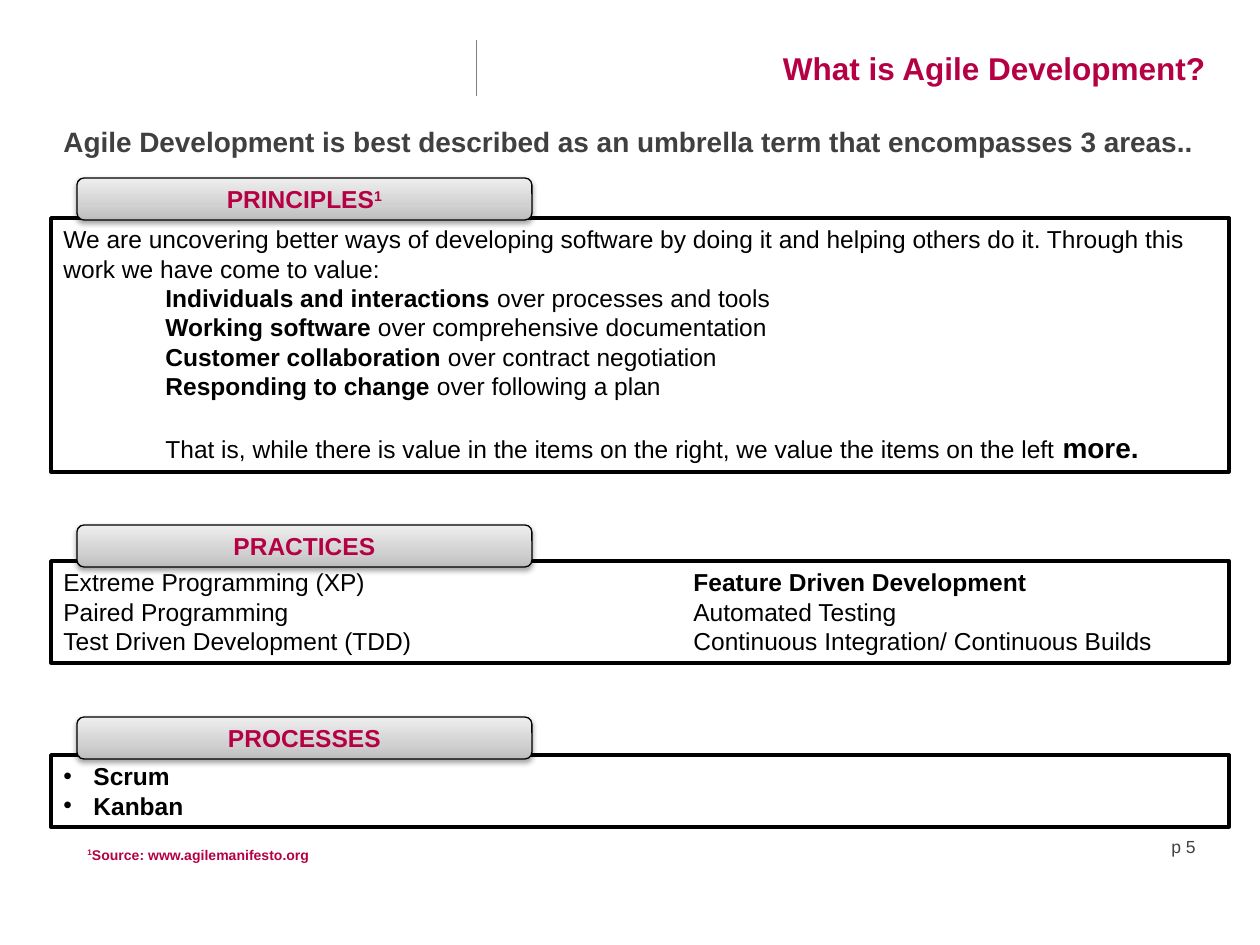
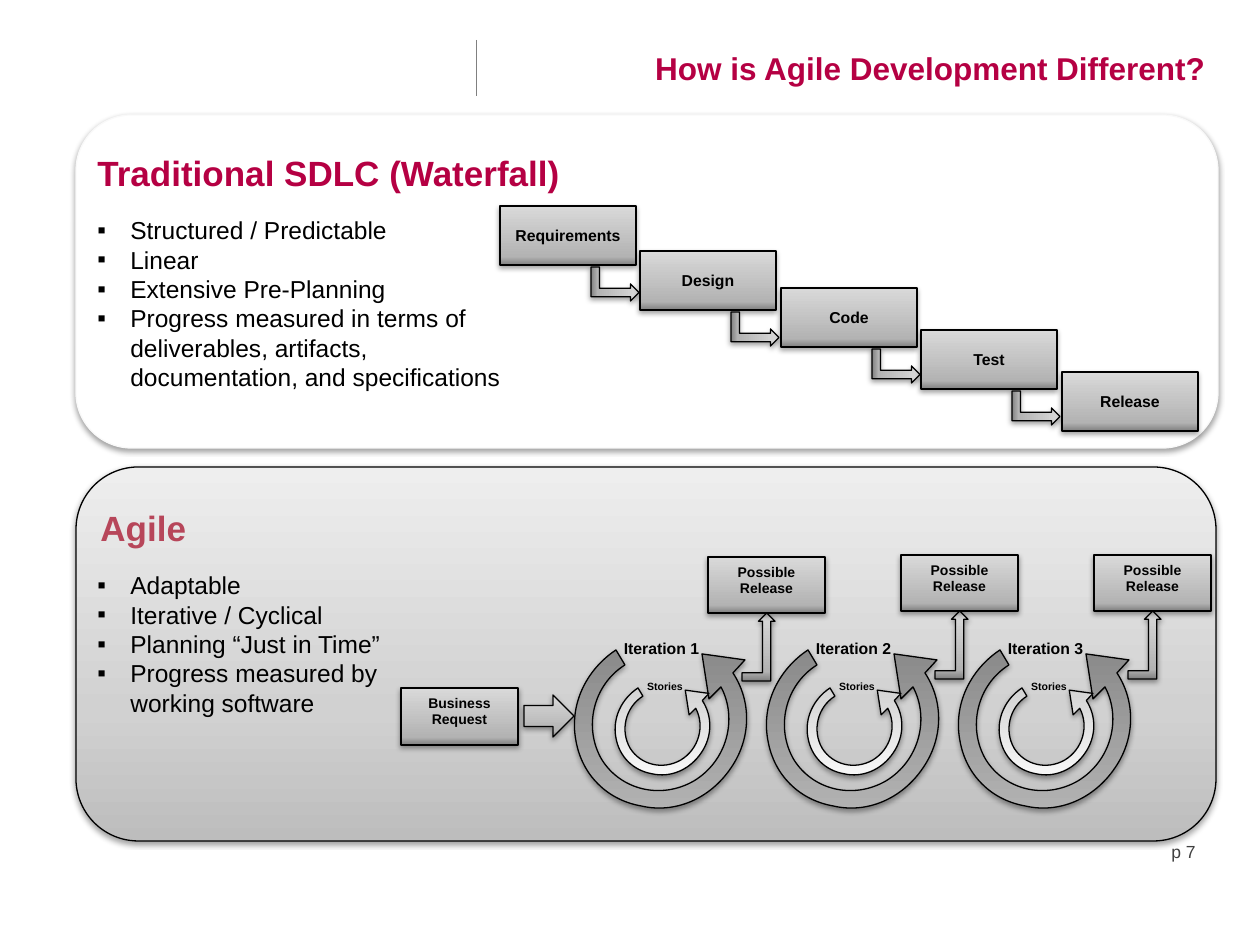
from dataclasses import dataclass

from lxml.etree import SubElement
from pptx import Presentation
from pptx.dml.color import RGBColor
from pptx.enum.dml import MSO_LINE
from pptx.enum.shapes import MSO_CONNECTOR, MSO_SHAPE
from pptx.enum.text import MSO_ANCHOR, PP_ALIGN
from pptx.oxml.ns import qn
from pptx.util import Emu, Pt

EMU_PER_PX = 914400 / 126


@dataclass(frozen=True)
class Theme:
    font: str = "Arial"
    accent: str = "B50043"
    agile: str = "B7465A"
    ink: str = "000000"
    muted: str = "404040"
    rule: str = "808080"
    paper: str = "FFFFFF"
    pale: str = "F9F9F9"
    # Gradients run from bottom to top
    silver: tuple = ((0, "BDBDBD"), (35, "D1D1D1"), (100, "EEEEEE"))
    steel: tuple = ((0, "808080"), (14, "B3B3B3"), (100, "D9D9D9"))
    outer_ring: tuple = ((0, "B3B3B3"), (100, "8A8A8A"))
    inner_ring: tuple = ((0, "F8F8F8"), (100, "D4D4D4"))
    title: int = 18
    heading: int = 20
    lead: int = 16
    body: int = 14
    page: int = 10
    step: int = 9
    small: int = 8
    tiny: int = 6


T = Theme()

# Circular arrow: each row is a cubic curve (three points) or one straight edge
RING = [
    [(-30, 20), (-47, 55), (-40, 91)], [(-34, 125), (-9, 150), (25, 156)],
    [(59, 164), (94, 149), (115, 118)], [(135, 89), (136, 52), (117, 23)],
    [(129, 10)], [(86, 4)], [(93, 49)], [(105, 37)],
    [(122, 69), (111, 111), (78, 131)], [(45, 150), (5, 140), (-14, 110)],
    [(-33, 78), (-23, 35), (9, 15)],
]


def px(n):
    return Emu(round(n * EMU_PER_PX))


# ---- Text ----
def write(tf, paras, size=T.body, color=T.ink, bold=False, align=PP_ALIGN.LEFT,
          anchor=MSO_ANCHOR.TOP, bullet=None, indent=0, tab=0, inset=None):
    """Each paragraph is a string or a list of (text, overrides) runs; \n breaks a line."""
    tf.word_wrap = True
    tf.vertical_anchor = anchor
    if inset is not None:
        tf.margin_left = tf.margin_right = px(inset)
    for i, para in enumerate(paras):
        p = tf.paragraphs[0] if i == 0 else tf.add_paragraph()
        p.alignment = align
        pPr = p._p.get_or_add_pPr()
        if bullet:
            pPr.set("marL", str(px(indent)))
            pPr.set("indent", str(-px(indent)))
            SubElement(pPr, qn("a:buFont"), typeface=T.font)
            SubElement(pPr, qn("a:buChar"), char=bullet)
        if tab:
            tabs = SubElement(pPr, qn("a:tabLst"))
            SubElement(tabs, qn("a:tab"), pos=str(px(tab)), algn="l")
        for text, over in [(para, {})] if isinstance(para, str) else para:
            if text.startswith("\n"):
                p.add_line_break()
            r = p.add_run()
            r.text = text.lstrip("\n")
            f = r.font
            f.name = T.font
            f.size = Pt(over.get("size", size))
            f.bold = over.get("bold", bold)
            f.color.rgb = RGBColor.from_string(color)
            if over.get("sup"):
                f._element.set("baseline", "30000")


def add_text(s, box, paras, **fmt):
    tb = s.shapes.add_textbox(*map(px, box))
    write(tb.text_frame, paras, **fmt)


# ---- Shapes ----
def style(sp, fill, line=T.ink, width=0.75, shadow=True):
    sp.fill.solid()
    if isinstance(fill, str):
        sp.fill.fore_color.rgb = RGBColor.from_string(fill)
    else:
        spPr = sp._element.spPr
        solid = spPr.find(qn("a:solidFill"))
        grad = spPr.makeelement(qn("a:gradFill"), {"rotWithShape": "1"})
        stops = SubElement(grad, qn("a:gsLst"))
        for pos, color in fill:
            gs = SubElement(stops, qn("a:gs"), pos=str(pos * 1000))
            SubElement(gs, qn("a:srgbClr"), val=color)
        SubElement(grad, qn("a:lin"), ang="16200000", scaled="0")
        spPr.replace(solid, grad)
    sp.line.color.rgb = RGBColor.from_string(line)
    sp.line.width = Pt(width)
    sp.shadow.inherit = False
    if shadow:
        effects = sp._element.spPr.find(qn("a:effectLst"))
        outer = SubElement(effects, qn("a:outerShdw"), blurRad="39370", dist="20320",
                           dir="5400000", rotWithShape="0")
        color = SubElement(outer, qn("a:srgbClr"), val=T.ink)
        SubElement(color, qn("a:alpha"), val="36000")


def add_box(s, kind, box, fill, paras=(), line=T.ink, width=0.75, shadow=True,
            rotation=0, **fmt):
    sp = s.shapes.add_shape(kind, *map(px, box))
    sp.rotation = rotation
    style(sp, fill, line, width, shadow)
    write(sp.text_frame, paras, **fmt)
    return sp


def steel_box(s, box, text, size=T.small, anchor=MSO_ANCHOR.TOP):
    add_box(s, MSO_SHAPE.RECTANGLE, box, T.steel, [text], size=size, bold=True,
            align=PP_ALIGN.CENTER, anchor=anchor)


def add_ring(s, x, y, scale, fill):
    fb = s.shapes.build_freeform(px(x), px(y))
    fb.add_line_segments([(px(x + a * scale), px(y + b * scale))
                          for row in RING for a, b in row])
    sp = fb.convert_to_shape()
    # Join the three edges of each curve into one cubic segment
    edges = iter(list(sp._element.iter(qn("a:lnTo"))))
    for row in RING:
        first = next(edges)
        if len(row) == 3:
            first.tag = qn("a:cubicBezTo")
            for _ in range(2):
                edge = next(edges)
                first.append(edge[0])
                edge.getparent().remove(edge)
    style(sp, fill)


# ---- Shared slide frame ----
def new_slide(prs, title, page, page_top):
    s = prs.slides.add_slide(prs.slide_layouts[5])
    rule = s.shapes.add_connector(MSO_CONNECTOR.STRAIGHT, px(476), px(40), px(476), px(96))
    rule.line.color.rgb = RGBColor.from_string(T.rule)
    rule.line.width = Pt(0.25)
    rule.line.dash_style = MSO_LINE.ROUND_DOT
    SubElement(rule._element.spPr, qn("a:effectLst"))
    head = s.shapes.title
    head.left, head.top, head.width, head.height = map(px, (480, 43, 738, 50))
    write(head.text_frame, [title], size=T.title, color=T.accent, bold=True,
          align=PP_ALIGN.RIGHT)
    add_text(s, (946, page_top, 262, 42), [f"p {page}"], size=T.page, color=T.muted,
             align=PP_ALIGN.RIGHT)
    return s


# ---- Slide: what agile is ----
def section(s, top, height, tab_top, label, paras, **fmt):
    body = add_box(s, MSO_SHAPE.RECTANGLE, (51, top, 1178, height), T.paper, paras, width=2,
                   shadow=False, **fmt)
    add_box(s, MSO_SHAPE.ROUNDED_RECTANGLE, (77, tab_top, 455, 42), T.silver, [label],
            color=T.accent, bold=True, align=PP_ALIGN.CENTER, anchor=MSO_ANCHOR.MIDDLE)
    return body


def principles(s):
    values = [("Individuals and interactions", "processes and tools"),
              ("\nWorking software", "comprehensive documentation"),
              ("\nCustomer collaboration", "contract negotiation"),
              ("\nResponding to change", "following a plan")]
    paras = ["We are uncovering better ways of developing software by doing it and helping "
             "others do it. Through this work we have come to value:",
             [run for left, right in values
              for run in ((left, {"bold": True}), (f" over {right}", {}))],
             [("That is, while there is value in the items on the right, "
               "we value the items on the left ", {}),
              ("more.", {"bold": True, "size": T.lead})]]
    body = section(s, 218, 254, 178, [("PRINCIPLES", {}), ("1", {"sup": True})], paras)
    # Indent the values and set the closing line apart
    ps = body.text_frame.paragraphs
    for p in ps[1:]:
        p._p.get_or_add_pPr().set("marL", str(px(102)))
    ps[-1].space_before = Pt(17)


def what_is_agile(prs):
    s = new_slide(prs, "What is Agile Development?", 5, 830)
    add_text(s, (51, 118, 1202, 47),
             ["Agile Development is best described as an umbrella term that "
              "encompasses 3 areas.."], size=T.lead, color=T.muted, bold=True)
    principles(s)
    section(s, 561, 102, 525, "PRACTICES", [
        [("Extreme Programming (XP)\t", {}), ("Feature Driven Development", {"bold": True})],
        "Paired Programming\tAutomated Testing",
        "Test Driven Development (TDD)\tContinuous Integration/ Continuous Builds"], tab=630)
    section(s, 755, 72, 717, "PROCESSES", ["Scrum", "Kanban"], bold=True,
            bullet="•", indent=30)
    add_text(s, (75, 840, 1154, 30),
             [[("1", {"sup": True}), ("Source: www.agilemanifesto.org", {})]],
             size=T.small, color=T.accent, bold=True)


# ---- Slide: how agile differs ----
def panel(s, box, fill, line, heading, color, heading_at, points, list_at, list_size):
    x, y = box[:2]
    add_box(s, MSO_SHAPE.ROUNDED_RECTANGLE, box, fill, line=line)
    add_text(s, (x + heading_at[0], y + heading_at[1], 524, 55), [heading],
             size=T.heading, color=color, bold=True)
    add_text(s, (x + list_at[0], y + list_at[1], *list_size), points, bullet="▪", indent=33)


def waterfall(s, x, tops):
    steps = ["Requirements", "Design", "Code", "Test", "Release"]
    for i, (name, top) in enumerate(zip(steps, tops)):
        left = x + 562 * i // 4
        steel_box(s, (left, top, 136, 59), name, T.step, MSO_ANCHOR.MIDDLE)
        if name != steps[-1]:
            add_box(s, MSO_SHAPE.BENT_UP_ARROW, (left + 98, top + 54, 34, 48), T.steel,
                    rotation=90)


def iteration(s, x, y, number):
    add_ring(s, x, y, 1, T.outer_ring)
    add_ring(s, x + 22, y + 38, 0.55, T.inner_ring)
    label = dict(bold=True, align=PP_ALIGN.CENTER, inset=0)
    add_text(s, (x + 18, y + 24, 62, 23), ["Stories"], size=T.tiny, **label)
    add_text(s, (x - 5, y - 17, 101, 31), [f"Iteration {number}"], size=T.step, **label)


def release(s, x, y):
    add_box(s, MSO_SHAPE.BENT_UP_ARROW, (x + 34, y + 56, 33, 68), T.steel)
    steel_box(s, (x, y, 117, 56), "Possible Release")


def how_agile_differs(prs):
    s = new_slide(prs, "How is Agile Development Different?", 7, 835)
    panel(s, (76, 115, 1142, 333), T.paper, T.pale,
          "Traditional SDLC (Waterfall)", T.accent, (9, 30),
          ["Structured / Predictable", "Linear", "Extensive Pre-Planning",
           "Progress measured in terms of deliverables, artifacts, documentation, "
           "and specifications"], (9, 94), (432, 190))
    waterfall(s, 500, (206, 251, 288, 330, 372))
    panel(s, (76, 467, 1140, 374), T.silver, T.ink, "Agile", T.agile, (12, 33),
          ["Adaptable", "Iterative / Cyclical", "Planning “Just in Time”",
           "Progress measured by working software"], (9, 97), (357, 161))
    for i, top in enumerate((557, 555, 555)):
        iteration(s, 616 + 192 * i, 650, i + 1)
        release(s, 708 + 193 * i, top)
    steel_box(s, (401, 688, 117, 57), "Business Request")
    add_box(s, MSO_SHAPE.RIGHT_ARROW, (524, 695, 50, 42), T.steel)


def main():
    prs = Presentation()
    prs.slide_width, prs.slide_height = px(1260), px(945)
    what_is_agile(prs)
    how_agile_differs(prs)
    prs.save("out.pptx")


if __name__ == "__main__":
    main()
